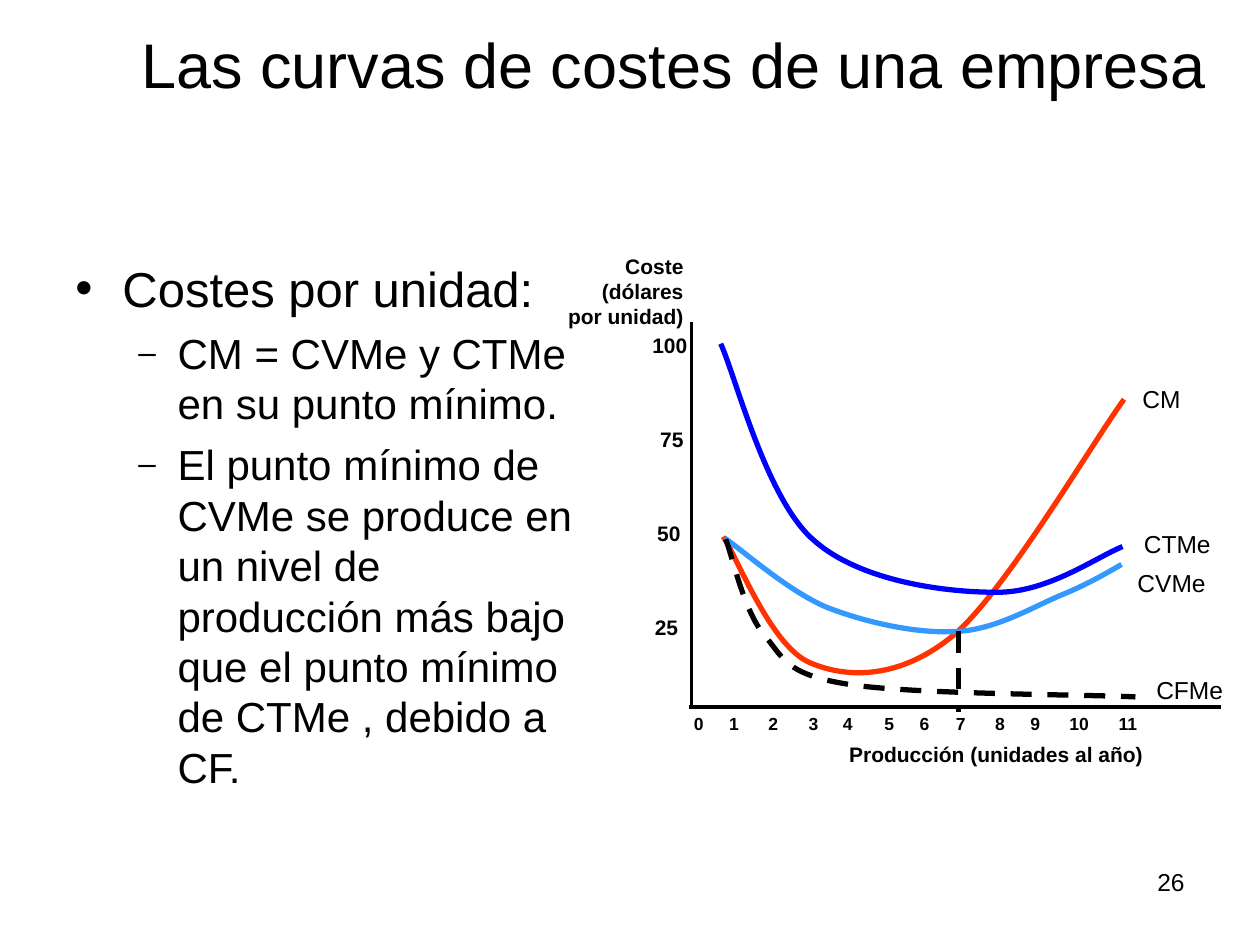
from dataclasses import dataclass

from lxml import etree
from pptx import Presentation
from pptx.dml.color import RGBColor
from pptx.enum.dml import MSO_LINE
from pptx.enum.shapes import MSO_CONNECTOR
from pptx.enum.text import MSO_ANCHOR, MSO_AUTO_SIZE, PP_ALIGN
from pptx.oxml.ns import qn
from pptx.util import Cm, Pt

STRAIGHT = MSO_CONNECTOR.STRAIGHT
DASH = MSO_LINE.DASH
BOTTOM = MSO_ANCHOR.BOTTOM
FIT_SHAPE = MSO_AUTO_SIZE.SHAPE_TO_FIT_TEXT
LEFT, CENTER, RIGHT = PP_ALIGN.LEFT, PP_ALIGN.CENTER, PP_ALIGN.RIGHT
TITLE_ONLY = 5


@dataclass(frozen=True)
class Theme:
    font: str = "Arial"
    black: RGBColor = RGBColor(0x00, 0x00, 0x00)
    marginal: RGBColor = RGBColor(0xFF, 0x33, 0x00)
    variable: RGBColor = RGBColor(0x33, 0x99, 0xFF)
    total: RGBColor = RGBColor(0x00, 0x00, 0xFF)
    title: int = 36
    bullet: int = 28
    sub_bullet: int = 24
    curve_label: int = 14
    axis_label: int = 12
    tick: int = 10
    axis_width: float = 2
    curve_width: float = 3


THEME = Theme()

BULLETS = [
    (0, "Costes por unidad:"),
    (1, "CM = CVMe y CTMe en su punto mínimo."),
    (1, "El punto mínimo de CVMe se produce en un nivel de producción más bajo "
        "que el punto mínimo de CTMe , debido a CF."),
]

# Tick labels: text and left edge in cm
COST_TICKS = [("100", 12.9), ("75", 13.06), ("50", 13.0), ("25", 12.95)]
OUTPUT_TICK_LEFTS = [13.74, 14.45, 15.24, 16.05, 16.74, 17.58,
                     18.29, 19.02, 19.81, 20.52, 21.31, 22.3]

# Bezier curves in cm: a start point, then two handles and an end per segment
CURVES = [
    (THEME.marginal, None, [
        (14.58, 10.82),
        (14.86, 11.23), (15.54, 13.03), (16.33, 13.36),
        (17.09, 13.69), (18.16, 13.69), (19.23, 12.8),
        (20.27, 11.91), (21.95, 9.04), (22.66, 8.05)]),
    (THEME.variable, None, [
        (14.61, 10.85),
        (14.94, 11.07), (15.88, 11.91), (16.66, 12.24),
        (17.45, 12.55), (18.49, 12.78), (19.28, 12.73),
        (20.07, 12.7), (20.85, 12.22), (21.41, 11.99),
        (21.97, 11.76), (22.38, 11.51), (22.61, 11.38)]),
    (THEME.total, None, [
        (14.53, 6.93),
        (14.83, 7.59), (15.44, 10.03), (16.38, 10.87),
        (17.3, 11.71), (19.02, 11.94), (20.07, 11.94),
        (21.11, 11.96), (22.1, 11.23), (22.63, 11.02)]),
    (THEME.black, DASH, [
        (14.63, 10.87),
        (14.76, 11.2), (14.99, 12.29), (15.39, 12.78),
        (15.8, 13.26), (15.82, 13.59), (17.07, 13.79),
        (18.31, 14.0), (21.92, 14.0), (22.89, 14.05)]),
]

CURVE_LABELS = [("CM", 22.78, 7.62, 1.27), ("CTMe", 22.81, 10.54, 1.85),
                ("CVMe", 22.68, 11.33, 1.88), ("CFMe", 23.06, 13.49, 1.85)]


def format_paragraph(paragraph, size, bold=False, alignment=LEFT):
    paragraph.alignment = alignment
    font = paragraph.font
    font.name, font.size, font.bold = THEME.font, Pt(size), bold
    font.color.rgb = THEME.black


def format_line(line, color, width, dash=None):
    line.color.rgb = color
    line.width = Pt(width)
    if dash is not None:
        line.dash_style = dash


def add_title(slide, text):
    title = slide.shapes.title
    title.left, title.top, title.width, title.height = (
        Cm(1.75), Cm(0), Cm(23.65), Cm(2.16))
    frame = title.text_frame
    frame.text = text
    frame.vertical_anchor = BOTTOM
    format_paragraph(frame.paragraphs[0], THEME.title, alignment=CENTER)


def set_bullet(paragraph, mark, margin, hanging, percent):
    properties = paragraph._p.get_or_add_pPr()
    properties.set("marL", str(Cm(margin)))
    properties.set("indent", str(-Cm(hanging)))
    # Bullet settings come just before the default run properties
    font_properties = properties.find(qn("a:defRPr"))
    for tag, attribute, value in (("a:buSzPct", "val", str(percent * 1000)),
                                  ("a:buFont", "typeface", THEME.font),
                                  ("a:buChar", "char", mark)):
        element = etree.Element(qn(tag))
        element.set(attribute, value)
        font_properties.addprevious(element)


def add_bullets(slide, items):
    box = slide.shapes.add_textbox(Cm(1.27), Cm(5.08), Cm(10.6), Cm(11.43))
    frame = box.text_frame
    frame.word_wrap = True
    for index, (level, text) in enumerate(items):
        paragraph = frame.add_paragraph() if index else frame.paragraphs[0]
        paragraph.text = text
        paragraph.level = level
        if level:
            paragraph.space_before = Pt(6)
            format_paragraph(paragraph, THEME.sub_bullet)
            set_bullet(paragraph, "–", 2.06, 0.79, 75)
        else:
            format_paragraph(paragraph, THEME.bullet)
            set_bullet(paragraph, "•", 0.95, 0.95, 100)


def add_label(slide, text, left, top, width, height, size, bold=False, alignment=LEFT):
    box = slide.shapes.add_textbox(Cm(left), Cm(top), Cm(width), Cm(height))
    frame = box.text_frame
    # Right-aligned labels keep their box width, so the right edge stays put
    frame.word_wrap = alignment == RIGHT
    frame.auto_size = FIT_SHAPE
    frame.text = text
    for paragraph in frame.paragraphs:
        format_paragraph(paragraph, size, bold, alignment)


def add_line(slide, start, end, width, dash=None):
    x1, y1, x2, y2 = (Cm(value) for value in (*start, *end))
    connector = slide.shapes.add_connector(STRAIGHT, x1, y1, x2, y2)
    format_line(connector.line, THEME.black, width, dash)
    etree.SubElement(connector._element.spPr, qn("a:effectLst"))


def add_curve(slide, color, dash, points):
    start, *others = [(Cm(x), Cm(y)) for x, y in points]
    builder = slide.shapes.build_freeform(*start)
    builder.add_line_segments(others, close=False)
    shape = builder.convert_to_shape()
    shape.shadow.inherit = False
    shape.fill.background()
    format_line(shape.line, color, THEME.curve_width, dash)

    # Merge every three straight segments into one Bezier segment
    segments = list(shape._element.iter(qn("a:lnTo")))
    for index in range(0, len(segments), 3):
        bezier = etree.Element(qn("a:cubicBezTo"))
        segments[index].addprevious(bezier)
        for segment in segments[index:index + 3]:
            bezier.append(segment[0])
            segment.getparent().remove(segment)


def add_cost_chart(slide):
    # Axes and their ticks
    add_line(slide, (13.94, 6.5), (13.94, 14.25), THEME.axis_width)
    add_line(slide, (13.89, 14.25), (24.61, 14.25), THEME.axis_width)
    for index, (text, left) in enumerate(COST_TICKS):
        width = 1.22 if len(text) == 3 else 0.97
        add_label(slide, text, left, 6.57 + 1.9 * index, width, 0.76,
                  THEME.axis_label, bold=True)
    for output, left in enumerate(OUTPUT_TICK_LEFTS):
        width = 0.89 if output > 9 else 0.71
        add_label(slide, str(output), left, 14.25, width, 0.66, THEME.tick, bold=True)

    # Curves, their names and the minimum of CVMe
    for color, dash, points in CURVES:
        add_curve(slide, color, dash, points)
    for text, left, top, width in CURVE_LABELS:
        add_label(slide, text, left, top, width, 0.86, THEME.curve_label)
    add_line(slide, (19.33, 12.73), (19.33, 14.35), THEME.curve_width, DASH)

    # Axis titles
    add_label(slide, "Coste\n(dólares\npor unidad)", 11.03, 4.98, 3.0, 1.78,
              THEME.axis_label, bold=True, alignment=RIGHT)
    add_label(slide, "Producción (unidades al año)", 16.87, 14.83, 6.43, 0.76,
              THEME.axis_label, bold=True)


def main():
    presentation = Presentation()
    presentation.slide_width, presentation.slide_height = Cm(25.4), Cm(19.05)
    slide = presentation.slides.add_slide(presentation.slide_layouts[TITLE_ONLY])
    add_title(slide, "Las curvas de costes de una empresa")
    add_bullets(slide, BULLETS)
    add_cost_chart(slide)
    # Page number
    add_label(slide, "26", 18.21, 17.35, 5.92, 1.32, THEME.curve_label, alignment=RIGHT)
    presentation.save("out.pptx")


if __name__ == "__main__":
    main()
